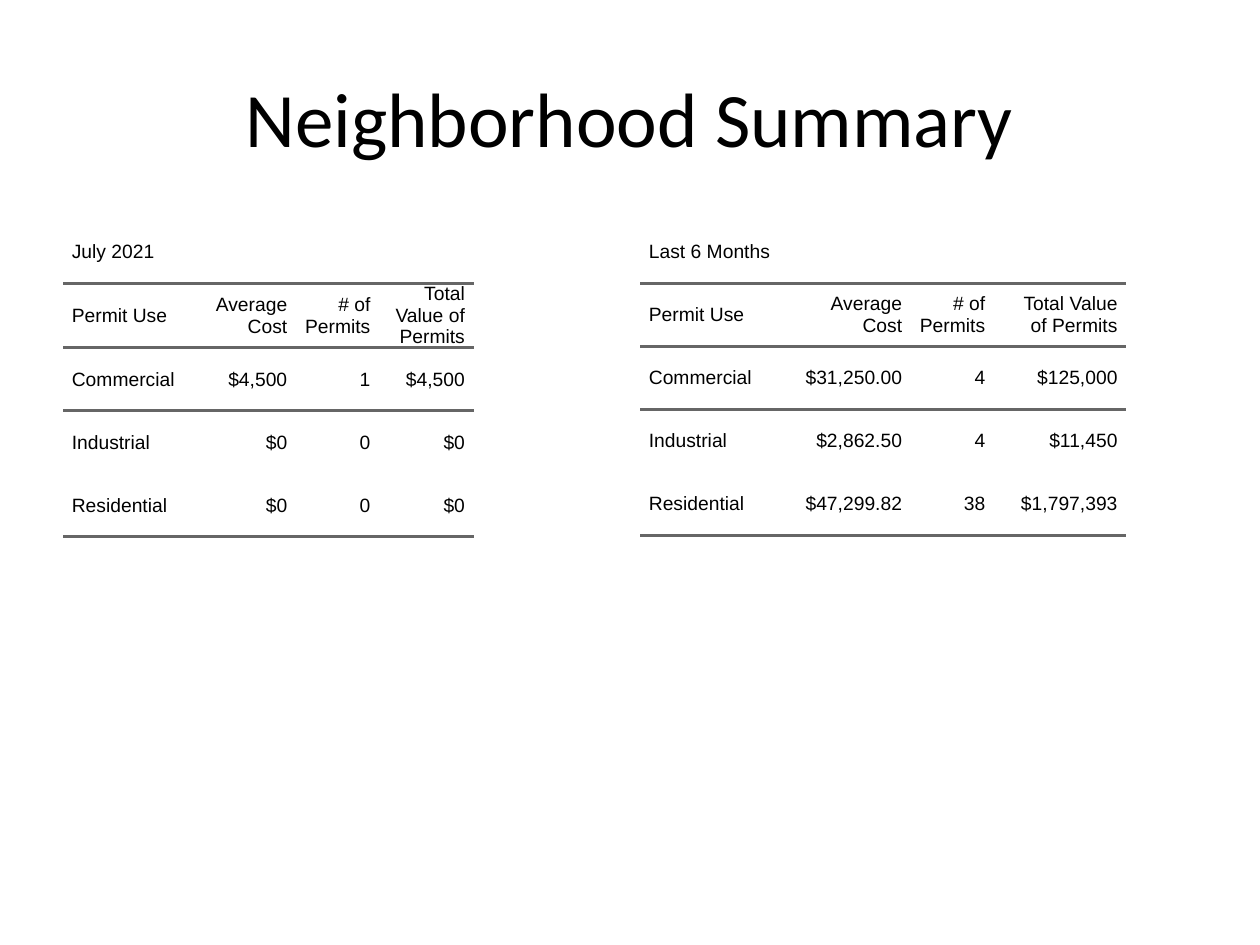
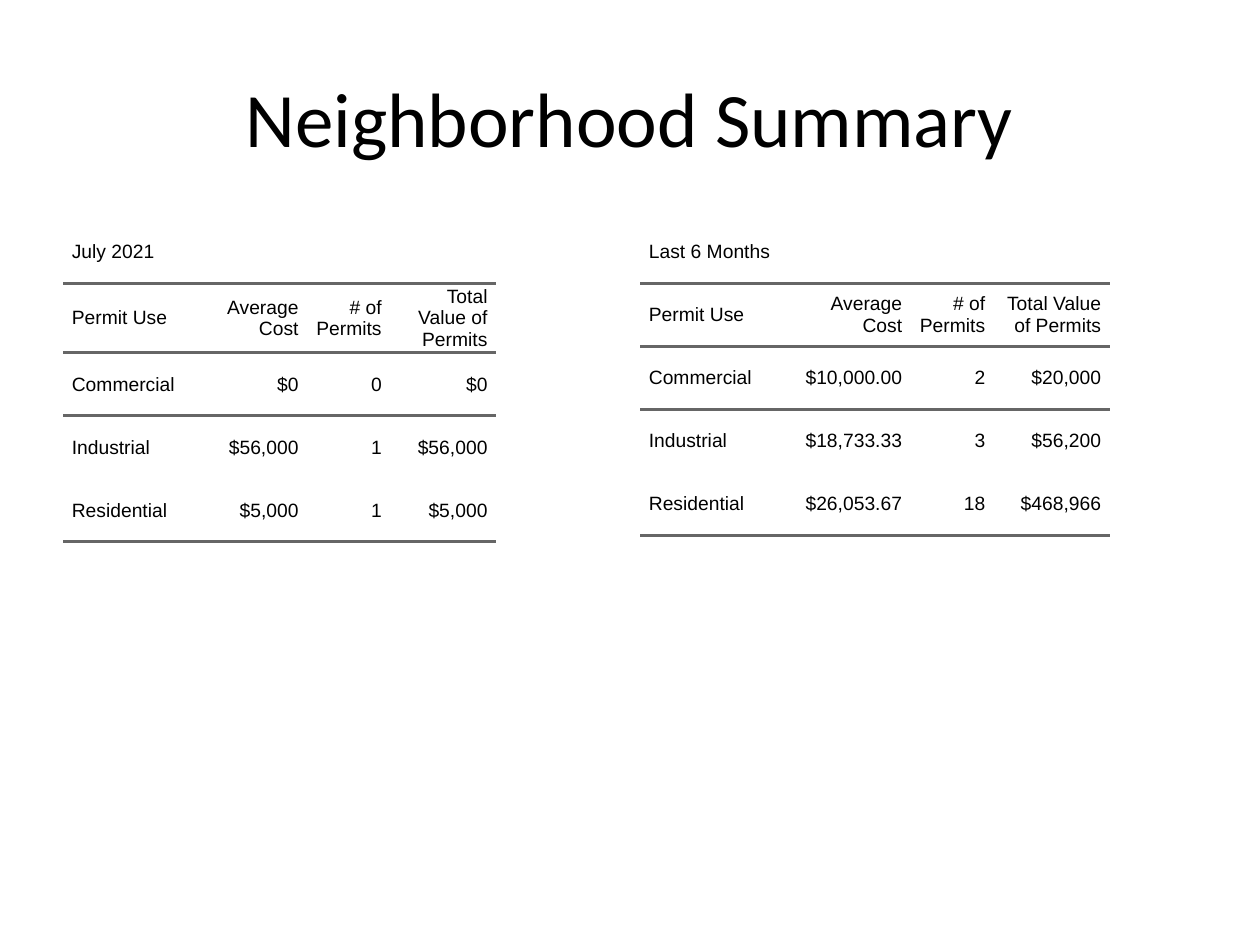
from pptx import Presentation
from pptx import util as u
from pptx.dml.color import RGBColor
from pptx.enum import text
from pptx.oxml.ns import qn
from lxml import etree

INK = "000000"
RULE = "666666"
PLAIN = "{2D5ABB26-0587-4C30-8999-92F81FD0307C}"  # table style without grid
TITLE = "Neighborhood Summary"
HEADS = ["Permit Use", "Average Cost", "# of Permits", "Total Value of Permits"]
USES = ["Commercial", "Industrial", "Residential"]
ROW = 0.5
TOP = 1.75
LEFTS = [0.5, 5.08]

# Each slide: (caption, column widths, figures by use) for its two tables
SLIDES = [
    [("July 2021", [1.1, 0.75, 0.66, 0.75],
      [("$4,500", "1", "$4,500"),
       ("$0", "0", "$0"),
       ("$0", "0", "$0")]),
     ("Last 6 Months", [1.1, 1.05, 0.66, 1.05],
      [("$31,250.00", "4", "$125,000"),
       ("$2,862.50", "4", "$11,450"),
       ("$47,299.82", "38", "$1,797,393")])],
    [("July 2021", [1.1, 0.84, 0.66, 0.84],
      [("$0", "0", "$0"),
       ("$56,000", "1", "$56,000"),
       ("$5,000", "1", "$5,000")]),
     ("Last 6 Months", [1.1, 1.05, 0.66, 0.92],
      [("$10,000.00", "2", "$20,000"),
       ("$18,733.33", "3", "$56,200"),
       ("$26,053.67", "18", "$468,966")])],
]


def color(code):
    return RGBColor.from_string(code)


def style(para, font, size, align):
    para.alignment = align
    for run in para.runs:
        run.font.name = font
        run.font.size = u.Pt(size)
        run.font.color.rgb = color(INK)


def add_title(slide, left, top, width, height):
    box = slide.shapes.add_textbox(*map(u.Inches, (left, top, width, height)))
    frame = box.text_frame
    frame.word_wrap = True
    frame.vertical_anchor = text.MSO_ANCHOR.MIDDLE
    frame.text = TITLE
    style(frame.paragraphs[0], "Calibri", 44, text.PP_ALIGN.CENTER)


def add_rule(cell, side):
    line = etree.SubElement(cell._tc.get_or_add_tcPr(), qn("a:" + side),
                            w=str(u.Pt(2)))
    fill = etree.SubElement(line, qn("a:solidFill"))
    etree.SubElement(fill, qn("a:srgbClr"), val=RULE)


def set_cell(cell, words, align):
    cell.margin_left = cell.margin_right = u.Inches(0.07)
    cell.margin_top = cell.margin_bottom = 0
    cell.vertical_anchor = text.MSO_ANCHOR.MIDDLE
    cell.fill.background()
    cell.text_frame.text = words
    style(cell.text_frame.paragraphs[0], "Arial", 11, align)


def add_permits(slide, left, top, caption, widths, figures):
    rows = [[caption, "", "", ""], HEADS]
    rows += [[use, *vals] for use, vals in zip(USES, figures)]
    size = (left, top, sum(widths), ROW * len(rows))
    frame = slide.shapes.add_table(len(rows), len(HEADS), *map(u.Inches, size))
    table = frame.table
    table.first_row = table.horz_banding = False
    table._tbl.tblPr.find(qn("a:tableStyleId")).text = PLAIN
    for col, width in zip(table.columns, widths):
        col.width = u.Inches(width)

    # Rules frame the heading row and close the table
    last = len(rows) - 1
    for r, row in enumerate(rows):
        for c, words in enumerate(row):
            cell = table.cell(r, c)
            if r in (1, 2):
                add_rule(cell, "lnT")
            if r in (0, 1, last):
                add_rule(cell, "lnB")
            align = text.PP_ALIGN.RIGHT if c else text.PP_ALIGN.LEFT
            set_cell(cell, words, align)
    table.cell(0, 0).merge(table.cell(0, len(HEADS) - 1))


def add_summary(deck, tables):
    slide = deck.slides.add_slide(deck.slide_layouts[6])
    for left, data in zip(LEFTS, tables):
        add_permits(slide, left, TOP, *data)
    add_title(slide, 0.5, 0.3, 9, 1.25)


def main():
    deck = Presentation()
    deck.slide_width = u.Inches(10)
    deck.slide_height = u.Inches(7.5)
    for tables in SLIDES:
        add_summary(deck, tables)
    deck.save("out.pptx")


if __name__ == "__main__":
    main()
